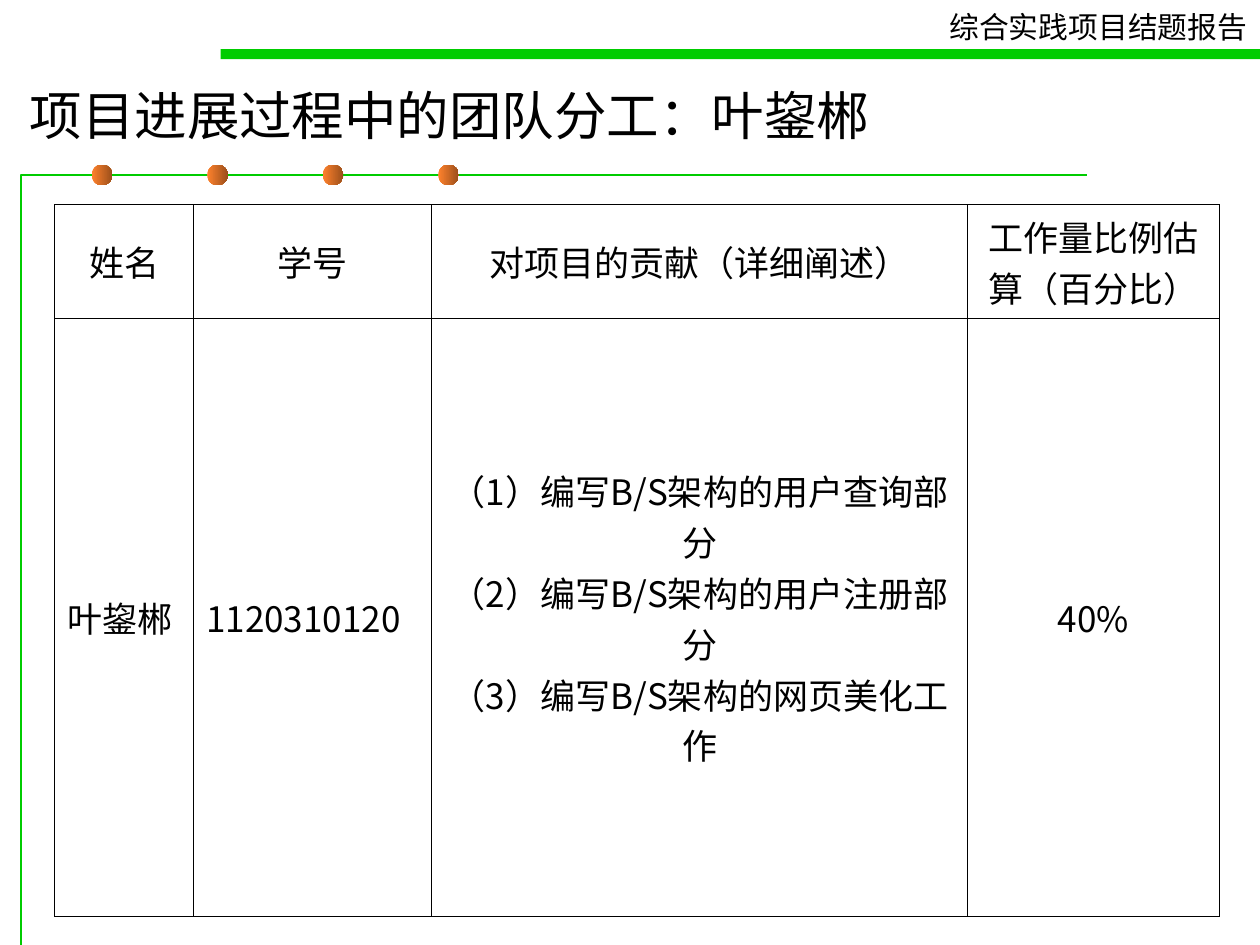
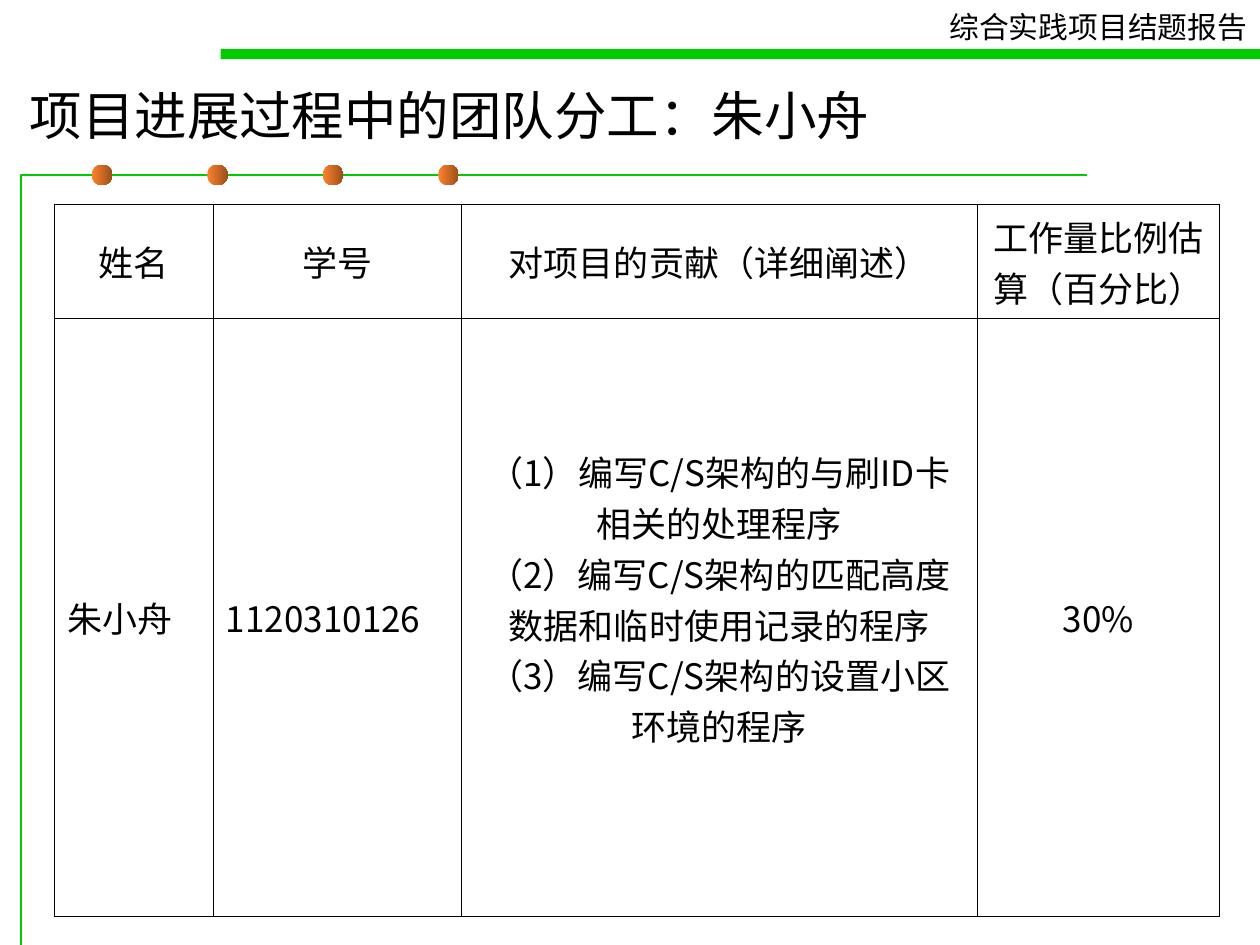
"""Build two slides on how the team shared the project work."""
from lxml.etree import SubElement
from pptx import Presentation
from pptx.dml.color import RGBColor
from pptx.enum.shapes import MSO_SHAPE
from pptx.enum.text import MSO_ANCHOR, MSO_AUTO_SIZE, PP_ALIGN
from pptx.oxml.ns import qn
from pptx.util import Pt

BANNER = "综合实践项目结题报告"
TITLE = "项目进展过程中的团队分工：{}"
HEADS = ["姓名", "学号", "对项目的贡献（详细阐述）", "工作量比例估算（百分比）"]
TEAM = [
    dict(name="叶鋆郴", code="1120310120", share="40%", foot=3.6,
         cols=[79.4, 136.1, 306.1, 143.9],
         tasks=["（1）编写B/S架构的用户查询部分",
                "（2）编写B/S架构的用户注册部分",
                "（3）编写B/S架构的网页美化工作"]),
    dict(name="朱小舟", code="1120310126", share="30%", foot=25.6,
         cols=[90.7, 141.7, 294.9, 138.2],
         tasks=["（1）编写C/S架构的与刷ID卡相关的处理程序",
                "（2）编写C/S架构的匹配高度数据和临时使用记录的程序",
                "（3）编写C/S架构的设置小区环境的程序"]),
]

GREEN = RGBColor(0x00, 0xCC, 0x00)
BLACK = RGBColor(0x00, 0x00, 0x00)
ORANGE = RGBColor(0xFF, 0x82, 0x2D)
BROWN = RGBColor(0x9B, 0x4F, 0x1B)
SANS, SERIF = "Noto Sans CJK SC", "TeX Gyre Pagella"
WIDE, HIGH = 720, 540
ROWS = [65.2, 341.8]
DOTS, DOT, STEP = 4, 11.8, 66


def write(frame, text, size=20, font=SANS, align=PP_ALIGN.LEFT, before=0, after=0):
    """Fill a text frame with one paragraph per line of text."""
    frame.text = text
    for para in frame.paragraphs:
        para.alignment = align
        para.space_before, para.space_after = Pt(before), Pt(after)
        for run in para.runs:
            run.font.size, run.font.name = Pt(size), font
            run.font.color.rgb = BLACK
            SubElement(run.font._element, qn("a:ea"), typeface=SANS)


def place(shape, *box):
    """Set left, top, width and height in points."""
    shape.left, shape.top, shape.width, shape.height = map(Pt, box)


def draw(slide, kind, *box):
    """Add a preset shape with no line and no shadow."""
    shape = slide.shapes.add_shape(kind, *map(Pt, box))
    shape.shadow.inherit = False
    shape.line.fill.background()
    return shape


def frame_slide(slide):
    """Draw the rule, dots, band and banner that every slide shares."""
    left, top = 12, 99.8
    path = slide.shapes.build_freeform(left, HIGH, scale=Pt(1))
    path.add_line_segments([(left, top), (620.6, top)], close=False)
    rule = path.convert_to_shape()
    rule.shadow.inherit = False
    rule.fill.background()
    rule.line.color.rgb, rule.line.width = GREEN, Pt(0.75)
    for i in range(DOTS):
        dot = draw(slide, MSO_SHAPE.OVAL, 52.4 + i * STEP, 94.1, DOT, DOT)
        dot.fill.gradient()
        dot.fill.gradient_angle = 0
        for stop, tint in zip(dot.fill.gradient_stops, (ORANGE, BROWN)):
            stop.color.rgb = tint
    band = draw(slide, MSO_SHAPE.RECTANGLE, 126, 28, WIDE - 126, 5.8)
    band.fill.solid()
    band.fill.fore_color.rgb = GREEN
    box = slide.shapes.add_textbox(Pt(535.4), Pt(1.4), Pt(184.6), Pt(28))
    box.text_frame.word_wrap = False
    box.text_frame.auto_size = MSO_AUTO_SIZE.SHAPE_TO_FIT_TEXT
    write(box.text_frame, BANNER, size=17, font=SERIF)


def edge(cell):
    """Give a cell thin black borders and no fill."""
    props = cell._tc.get_or_add_tcPr()
    for side in "LRTB":
        line = SubElement(props, qn(f"a:ln{side}"), w=str(int(Pt(0.45))))
        fill = SubElement(line, qn("a:solidFill"))
        SubElement(fill, qn("a:srgbClr"), val=str(BLACK))
    cell.fill.background()


def add_grid(slide, mate):
    """Add the table of one member's work."""
    cols = mate["cols"]
    body = [mate["name"], mate["code"], "\n".join(mate["tasks"]), mate["share"]]
    grid = slide.shapes.add_table(2, len(cols), Pt(31.2), Pt(116.8),
                                  Pt(sum(cols)), Pt(sum(ROWS))).table
    grid.first_row = grid.horz_banding = False
    for col, width in zip(grid.columns, cols):
        col.width = Pt(width)
    for row, height in zip(grid.rows, ROWS):
        row.height = Pt(height)
    for r, texts in enumerate([HEADS, body]):
        for c, text in enumerate(texts):
            cell = grid.cell(r, c)
            edge(cell)
            cell.vertical_anchor = MSO_ANCHOR.MIDDLE
            if r and c < 2:
                write(cell.text_frame, text, before=8.8, after=3.7)
            else:
                write(cell.text_frame, text, align=PP_ALIGN.CENTER)
    grid.cell(1, 2).margin_bottom = Pt(mate["foot"])


def main():
    """Build and save the deck."""
    deck = Presentation()
    deck.slide_width, deck.slide_height = Pt(WIDE), Pt(HIGH)
    for mate in TEAM:
        slide = deck.slides.add_slide(deck.slide_layouts[5])
        frame_slide(slide)
        title = slide.shapes.title
        place(title, 9.7, 39.9, 669, 51)
        title.text_frame.auto_size = MSO_AUTO_SIZE.NONE
        title.text_frame.vertical_anchor = MSO_ANCHOR.MIDDLE
        write(title.text_frame, TITLE.format(mate["name"]), size=30)
        add_grid(slide, mate)
    deck.save("out.pptx")


if __name__ == "__main__":
    main()
